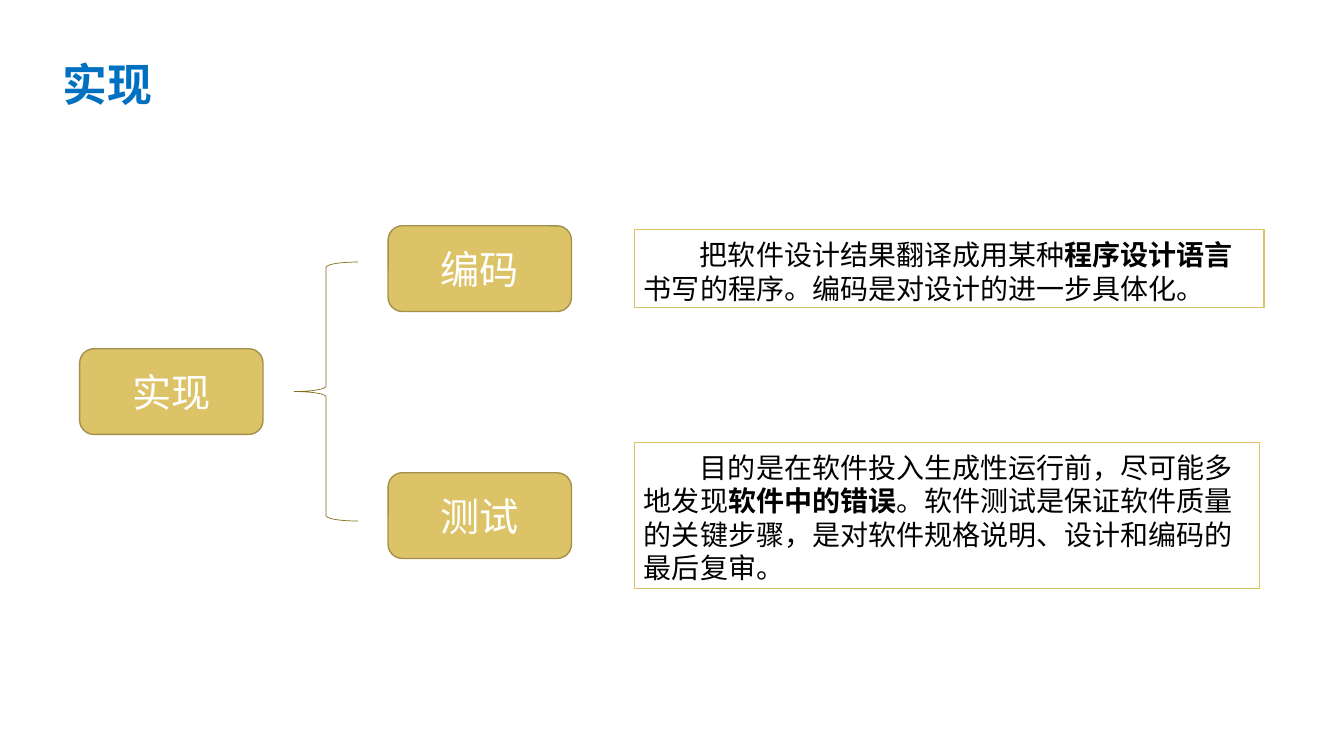
from pptx import Presentation
from pptx.dml.color import RGBColor
from pptx.enum.shapes import MSO_SHAPE
from pptx.enum.text import MSO_ANCHOR, PP_ALIGN
from pptx.oxml.ns import qn
from pptx.util import Pt
from lxml import etree

ROUNDED = MSO_SHAPE.ROUNDED_RECTANGLE
BRACE = MSO_SHAPE.LEFT_BRACE
RECTANGLE = MSO_SHAPE.RECTANGLE
TOP, MIDDLE = MSO_ANCHOR.TOP, MSO_ANCHOR.MIDDLE
LEFT, CENTER = PP_ALIGN.LEFT, PP_ALIGN.CENTER

FONT = "Noto Sans CJK SC"
GOLD = "DDC367"


def color(value):
    return RGBColor.from_string(value)


def write(shape, *runs, size, text_color, align=LEFT, anchor=TOP,
          line_height=None, indent=0, bold=()):
    """Fill the shape with one paragraph; bold holds the indexes of bold runs."""
    frame = shape.text_frame
    frame.word_wrap = True
    frame.vertical_anchor = anchor
    paragraph = frame.paragraphs[0]
    paragraph.alignment = align
    if line_height:
        paragraph.line_spacing = Pt(line_height)
    if indent:
        paragraph._p.get_or_add_pPr().set("indent", str(Pt(indent)))
    for index, text in enumerate(runs):
        run = paragraph.add_run()
        run.text = text
        font = run.font
        font.size = Pt(size)
        font.bold = index in bold
        font.color.rgb = color(text_color)
        font.name = FONT
        east_asian = etree.SubElement(run._r.get_or_add_rPr(), qn("a:ea"))
        east_asian.set("typeface", FONT)


class SlideBuilder:
    def __init__(self, slide):
        self.slide = slide

    def shape(self, kind, left, top, width, height, line, line_width, fill=None):
        shape = self.slide.shapes.add_shape(
            kind, Pt(left), Pt(top), Pt(width), Pt(height))
        shape.shadow.inherit = False
        if fill:
            shape.fill.solid()
            shape.fill.fore_color.rgb = color(fill)
        else:
            shape.fill.background()
        shape.line.color.rgb = color(line)
        shape.line.width = Pt(line_width)
        return shape

    def title(self, text):
        box = self.slide.shapes.add_textbox(Pt(37.4), Pt(33.1), Pt(480), Pt(66))
        write(box, text, size=32, text_color="0070C0", line_height=42, bold=(0,))

    def stage(self, text, left, top):
        box = self.shape(ROUNDED, left, top, 131, 61.2, "A3904C", 1, GOLD)
        write(box, text, size=28, text_color="FFFFFF", align=CENTER, anchor=MIDDLE)

    def brace(self, left, top, width, height):
        self.shape(BRACE, left, top, width, height, "846E1E", 0.5)

    def note(self, runs, top, width, height):
        """Draw a framed explanation whose second run is bold."""
        box = self.shape(RECTANGLE, 452.9, top, width, height, GOLD, 0.75)
        box.text_frame.margin_top = Pt(5.4)
        box.text_frame.margin_bottom = Pt(1.8)
        write(box, *runs, size=20, text_color="000000",
              line_height=24, indent=40, bold=(1,))


def main():
    presentation = Presentation()
    presentation.slide_width, presentation.slide_height = Pt(960), Pt(540)
    builder = SlideBuilder(
        presentation.slides.add_slide(presentation.slide_layouts[6]))

    builder.title("实现")
    builder.stage("实现", 56.9, 249.1)
    builder.stage("编码", 277.2, 161.3)
    builder.stage("测试", 277.2, 337.7)
    builder.brace(210.2, 187.2, 45.4, 185)
    builder.note(("把软件设计结果翻译成用某种", "程序设计语言",
                  "书写的程序。编码是对设计的进一步具体化。"), 164.2, 450, 55.5)
    builder.note(("目的是在软件投入生成性运行前，尽可能多地发现", "软件中的错误",
                  "。软件测试是保证软件质量的关键步骤，是对软件规格说明、设计和编码的最后复审。"),
                 316.1, 447, 104.4)
    presentation.save("out.pptx")


if __name__ == "__main__":
    main()
